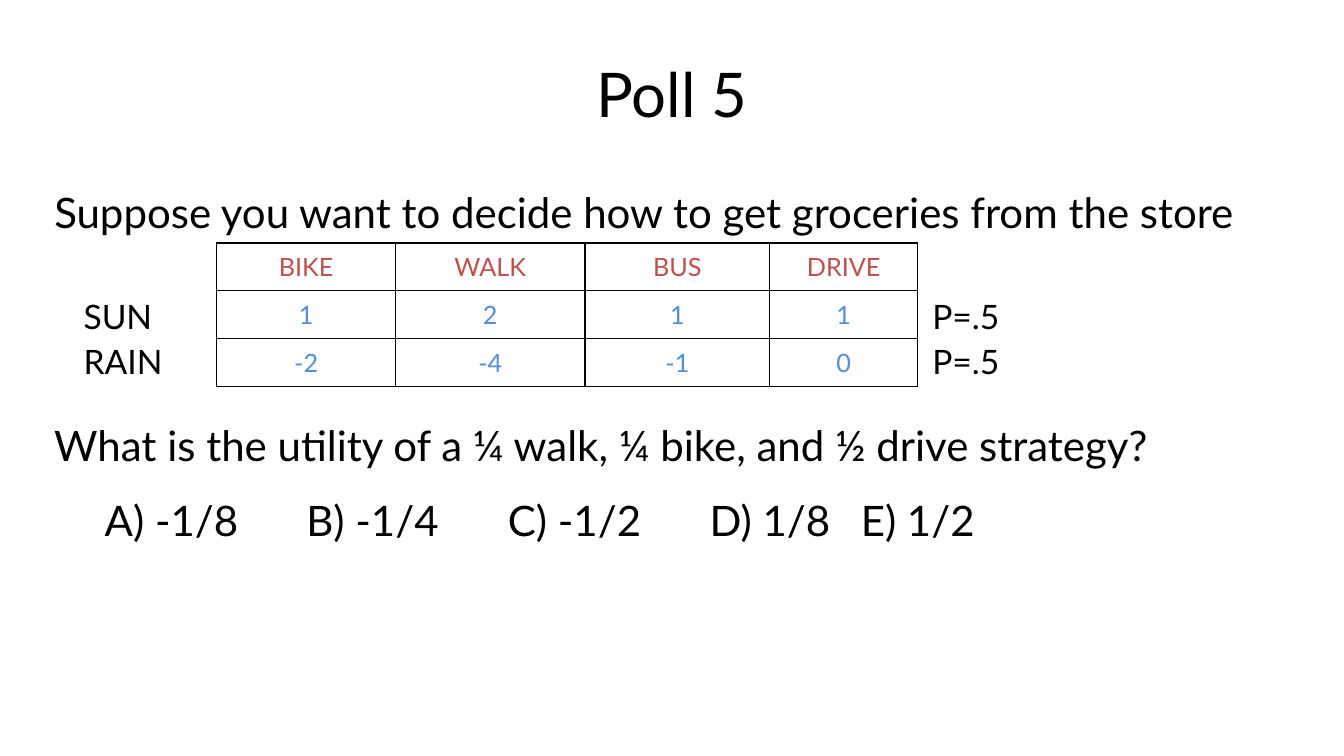
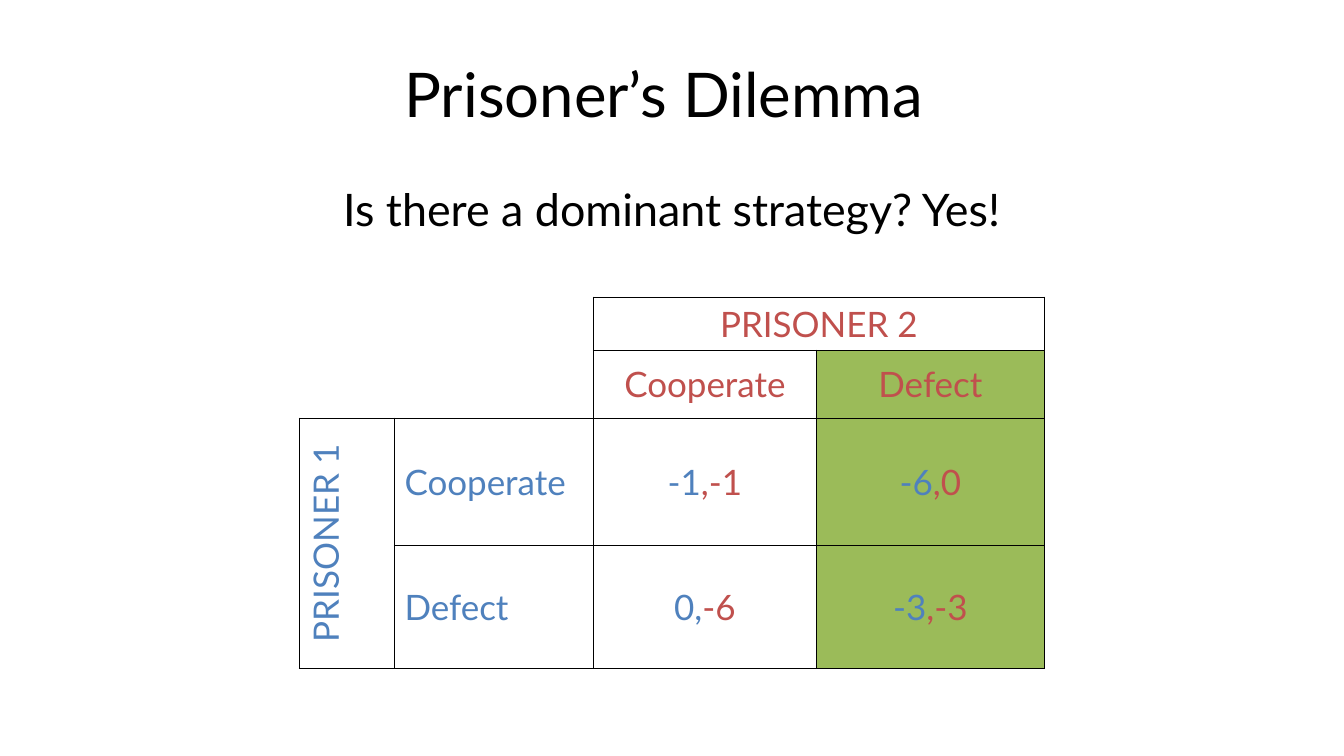
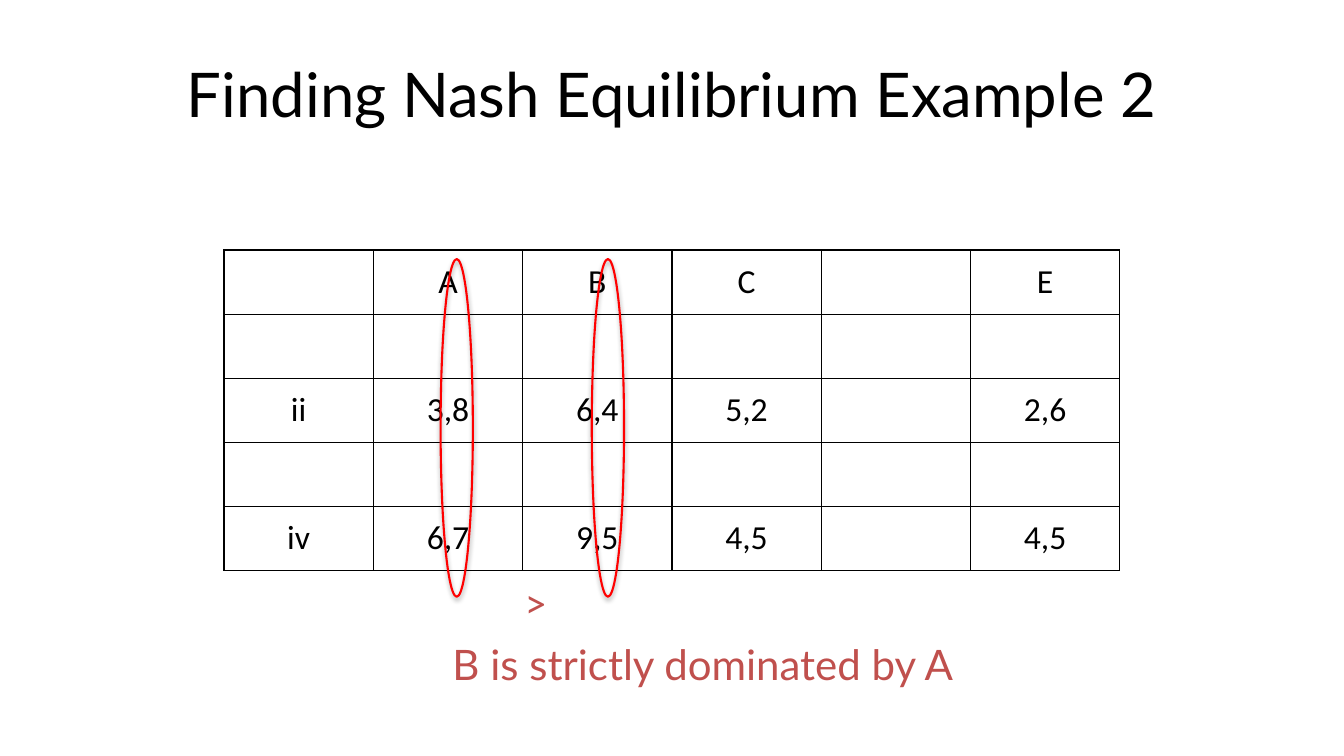
from lxml import etree
from pptx import Presentation
from pptx.dml.color import RGBColor
from pptx.enum.shapes import MSO_SHAPE
from pptx.enum.text import MSO_ANCHOR, PP_ALIGN
from pptx.oxml import parse_xml
from pptx.oxml.ns import nsdecls, qn
from pptx.util import Emu, Inches, Pt

LEFT, CENTER = PP_ALIGN.LEFT, PP_ALIGN.CENTER
MIDDLE = MSO_ANCHOR.MIDDLE
OVAL = MSO_SHAPE.OVAL

BLACK = RGBColor(0x00, 0x00, 0x00)
RED = RGBColor(0xC0, 0x50, 0x4D)
BLUE = RGBColor(0x4F, 0x81, 0xBD)
SKY = RGBColor(0x55, 0x8E, 0xD5)
GREEN = RGBColor(0x9B, 0xBB, 0x59)
RING = RGBColor(0xFF, 0x00, 0x00)

prs = Presentation()
prs.slide_width, prs.slide_height = Inches(13.33), Inches(7.5)
COL, ROW = prs.slide_width / 100, prs.slide_height / 100


def grid(x, y, w, h):
    return Emu(int(x * COL)), Emu(int(y * ROW)), Emu(int(w * COL)), Emu(int(h * ROW))


def write(tf, text, size=30, colors=(BLACK,), font="Lato", align=LEFT, spacing=None, tabs=()):
    for i, line in enumerate(text.split("\n")):
        p = tf.paragraphs[0] if i == 0 else tf.add_paragraph()
        p.alignment = align
        if spacing:
            p.line_spacing = spacing
        if tabs and "\t" in line:
            stops = etree.SubElement(p._p.get_or_add_pPr(), qn("a:tabLst"))
            for stop in tabs:
                etree.SubElement(stops, qn("a:tab"), pos=str(Inches(stop)), algn="l")
        for part, color in zip(line.split("|"), colors):
            r = p.add_run()
            r.text = part
            r.font.size, r.font.name = Pt(size), font
            r.font.color.rgb = color


slides = []
for title in ("Poll 5", "Prisoner’s Dilemma ", "Finding Nash Equilibrium Example 2"):
    s = prs.slides.add_slide(prs.slide_layouts[5])
    sp = s.shapes.title
    sp.left, sp.top, sp.width, sp.height = grid(5, 4, 90, 16.67)
    sp.text_frame.vertical_anchor = MIDDLE
    write(sp.text_frame, title, size=44, align=CENTER)
    slides.append(s)
poll, dilemma, nash = slides

tables = [
    (poll, 16.13, 32.13, [13.3, 14.1, 13.75, 11], [6.35] * 3,
     [["BIKE", "WALK", "BUS", "DRIVE"],
      ["1", "2", "1", "1"],
      ["-2", "-4", "-1", "0"]],
     [(RED,), (SKY,), (SKY,)], 18, "Lato"),
    (dilemma, 22.28, 39.33, [7.07, 14.8, 16.59, 16.97], [7, 9, 16.8, 16.27],
     [["", "", "PRISONER 2", ""],
      ["", "", "Cooperate", "Defect"],
      ["PRISONER 1", "Cooperate", "-1|,-1", "-6|,0"],
      ["", "Defect", "0,|-6", "-3|,-3"]],
     [(RED,), (RED,), (BLUE, RED), (BLUE, RED)], 25, "Lato"),
    (nash, 16.67, 33.07, [11.11] * 6, [8.48] * 5,
     [["", "A", "B", "C", "", "E"],
      [""] * 6,
      ["ii", "3,8", "6,4", "5,2", "", "2,6"],
      [""] * 6,
      ["iv", "6,7", "9,5", "4,5", "", "4,5"]],
     [(BLACK,)] * 5, 24, "Calibri"),
]
made = []
for s, x, y, cols, rows, data, palette, size, font in tables:
    table = s.shapes.add_table(len(rows), len(cols), *grid(x, y, sum(cols), sum(rows))).table
    table.first_row = table.horz_banding = False
    for column, width in zip(table.columns, cols):
        column.width = Emu(int(width * COL))
    for row, height in zip(table.rows, rows):
        row.height = Emu(int(height * ROW))
    for i, line in enumerate(data):
        for j, text in enumerate(line):
            cell = table.cell(i, j)
            cell.vertical_anchor = MIDDLE
            corner = s is dilemma and i < 2 and j < 2
            for side in "LRTB":
                paint = ("<a:noFill/>" if corner and side in "LT" else
                         f'<a:solidFill><a:srgbClr val="{BLACK}"/></a:solidFill>')
                cell._tc.get_or_add_tcPr().append(parse_xml(
                    f'<a:ln{side} {nsdecls("a")} w="12700">{paint}</a:ln{side}>'))
            cell.fill.background()
            if text:
                write(cell.text_frame, text, size, palette[i], font, CENTER)
    made.append(table)

payoffs = made[1]
for top, left, bottom, right in ((0, 0, 1, 1), (0, 2, 0, 3), (2, 0, 3, 0)):
    payoffs.cell(top, left).merge(payoffs.cell(bottom, right))
payoffs.cell(2, 0)._tc.get_or_add_tcPr().set("vert", "vert270")
for i in (2, 3):
    payoffs.cell(i, 1).text_frame.paragraphs[0].alignment = LEFT
for i in (1, 2, 3):
    payoffs.cell(i, 3).fill.solid()
    payoffs.cell(i, 3).fill.fore_color.rgb = GREEN

for k in range(2):
    sp = nash.shapes.add_shape(OVAL, *grid(32.78 + 11.25 * k, 34.27, 2.4, 44.67))
    sp.fill.background()
    sp.line.color.rgb, sp.line.width = RING, Pt(1.5)
    sp._element.spPr.append(parse_xml(
        f'<a:effectLst {nsdecls("a")}><a:outerShdw blurRad="40000" dist="23000" dir="5400000" '
        f'rotWithShape="0"><a:srgbClr val="{BLACK}"><a:alpha val="35000"/></a:srgbClr>'
        '</a:outerShdw></a:effectLst>'))

texts = [
    (poll, "Suppose you want to decide how to get groceries from the store",
     (3.3, 20.67, 92.5, 11.47), dict(spacing=1.5)),
    (poll, "What is the utility of a ¼ walk, ¼ bike, and ½ drive strategy?\n"
           "\tA) -1/8\tB) -1/4\tC) -1/2\tD) 1/8\tE) 1/2",
     (3.3, 51.47, 88.35, 21.6), dict(spacing=1.5, tabs=(0.5, 2.5, 4.5, 6.5, 8))),
    (dilemma, "Is there a dominant strategy? Yes!",
     (5, 23.33, 90, 10.67), dict(size=32, align=CENTER)),
    (nash, ">", (38.33, 75.6, 3.08, 8.13), dict(colors=(RED,), font="Calibri")),
    (nash, "B is strictly dominated by A", (32.93, 83.87, 40.05, 8.13), dict(colors=(RED,))),
]
for k, state in enumerate(("SUN", "RAIN")):
    for text, x in ((state, 5.48), ("P=.5", 68.63)):
        texts.append((poll, text, (x, 38.53 + 5.87 * k, 7.5, 6.67), dict(size=24)))
for s, text, place, style in texts:
    tf = s.shapes.add_textbox(*grid(*place)).text_frame
    tf.word_wrap = True
    write(tf, text, **style)

prs.save("out.pptx")
